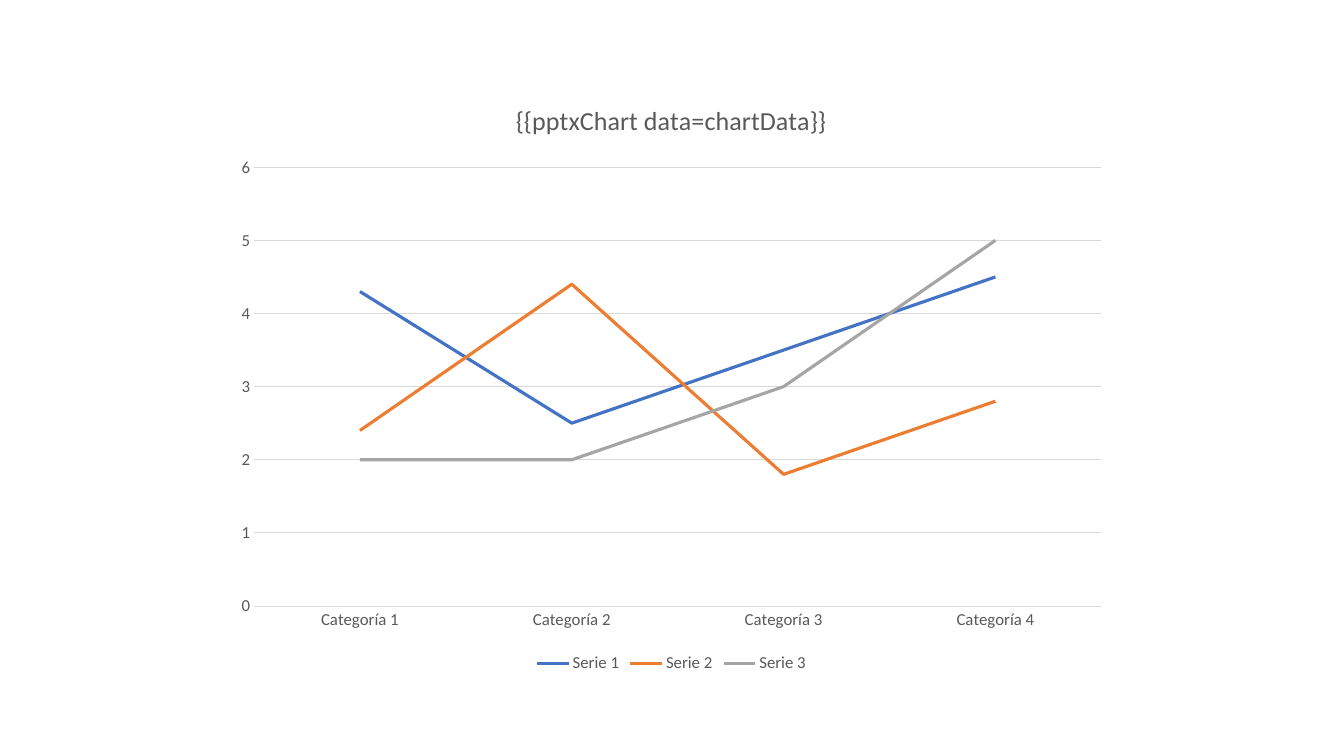
from pptx import Presentation
from pptx.chart.data import CategoryChartData
from pptx.dml.color import RGBColor
from pptx.enum.chart import XL_CHART_TYPE, XL_LEGEND_POSITION, XL_MARKER_STYLE, XL_TICK_MARK
from pptx.util import Emu, Pt

EMU_PER_PX = 9525
FONT = "Calibri"
COLORS = {
    "text": "595959",
    "grid": "D9D9D9",
    "Serie 1": "4472C4",
    "Serie 2": "ED7D31",
    "Serie 3": "A5A5A5",
}
CATEGORIES = ["Categoría 1", "Categoría 2", "Categoría 3", "Categoría 4"]
SERIES = {
    "Serie 1": (4.3, 2.5, 3.5, 4.5),
    "Serie 2": (2.4, 4.4, 1.8, 2.8),
    "Serie 3": (2, 2, 3, 5),
}


def px(length):
    return Emu(length * EMU_PER_PX)


def color(name):
    return RGBColor.from_string(COLORS[name])


def style_font(font, size):
    font.name = FONT
    font.size = Pt(size)
    font.bold = False
    font.color.rgb = color("text")


def style_line(line, color_name, width):
    line.color.rgb = color(color_name)
    line.width = Pt(width)


def add_line_chart(slide, left, top, width, height):
    chart_data = CategoryChartData()
    chart_data.categories = CATEGORIES
    for name, values in SERIES.items():
        chart_data.add_series(name, values)
    chart = slide.shapes.add_chart(
        XL_CHART_TYPE.LINE, px(left), px(top), px(width), px(height), chart_data
    ).chart
    style_font(chart.font, 12)
    for series in chart.plots[0].series:
        style_line(series.format.line, series.name, 2.25)
        series.marker.style = XL_MARKER_STYLE.NONE
        series.smooth = False
    return chart


def style_title(chart, text):
    chart.has_title = True
    heading = chart.chart_title.text_frame
    heading.text = text
    style_font(heading.paragraphs[0].font, 18.6)
    chart.chart_title.include_in_layout = False


def style_axes(chart):
    for axis in (chart.category_axis, chart.value_axis):
        axis.major_tick_mark = XL_TICK_MARK.NONE
        axis.minor_tick_mark = XL_TICK_MARK.NONE
        style_font(axis.tick_labels.font, 12)
    style_line(chart.category_axis.format.line, "grid", 0.75)

    scale = chart.value_axis
    scale.minimum_scale, scale.maximum_scale, scale.major_unit = 0, 6, 1
    scale.format.line.fill.background()
    style_line(scale.major_gridlines.format.line, "grid", 0.75)


def style_legend(chart):
    chart.has_legend = True
    chart.legend.position = XL_LEGEND_POSITION.BOTTOM
    chart.legend.include_in_layout = False
    style_font(chart.legend.font, 12)


def main():
    presentation = Presentation()
    presentation.slide_width, presentation.slide_height = px(1280), px(720)
    slide = presentation.slides.add_slide(presentation.slide_layouts[6])

    # Line chart with its heading, axes and legend
    chart = add_line_chart(slide, 213, 76, 853, 569)
    style_title(chart, "{{pptxChart data=chartData}}")
    style_axes(chart)
    style_legend(chart)

    presentation.save("out.pptx")


if __name__ == "__main__":
    main()
